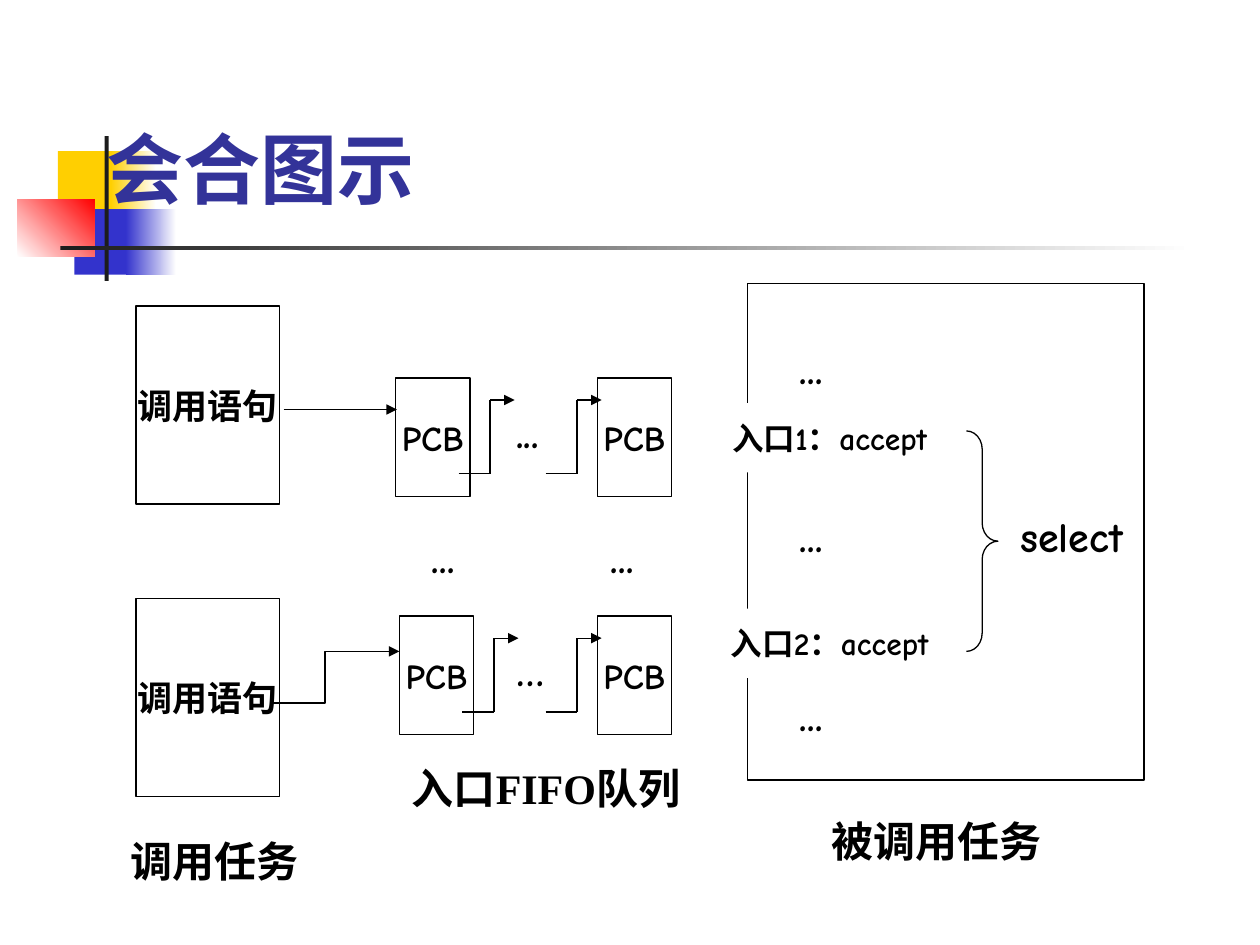
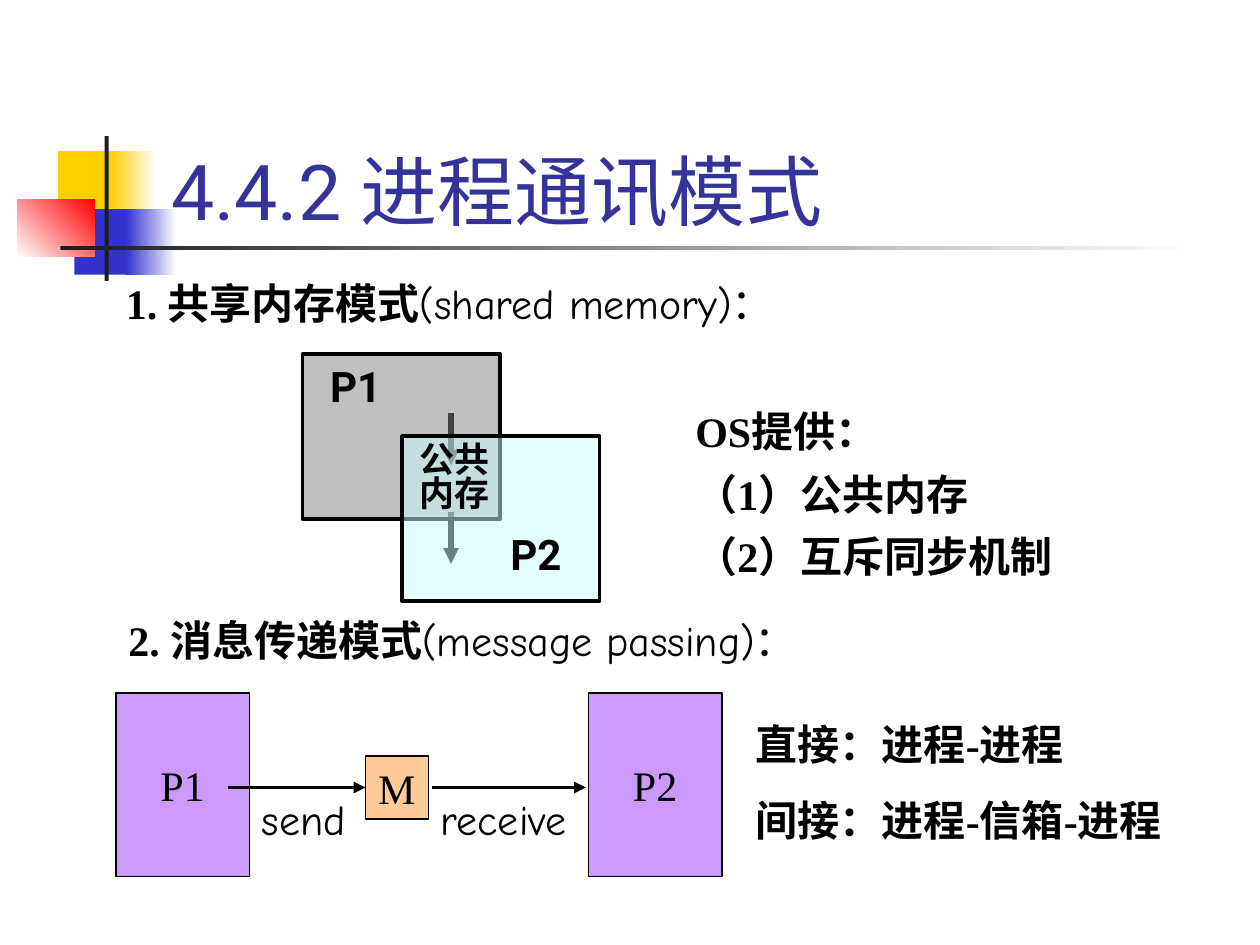
"""Build two slides on task rendezvous and process communication."""
import pptx
import pptx.util
import pptx.dml.color
import pptx.enum.shapes
import pptx.enum.text
import pptx.oxml.ns
import lxml.etree

RGB = pptx.dml.color.RGBColor
BLACK = RGB(0x00, 0x00, 0x00)
WHITE = RGB(0xFF, 0xFF, 0xFF)
INK = RGB(0x1C, 0x1C, 0x1C)
TITLE = RGB(0x33, 0x33, 0x99)
YELLOW = RGB(0xFF, 0xCF, 0x01)
BLUE = RGB(0x33, 0x33, 0xCC)
RED = RGB(0xFF, 0x00, 0x00)
GREY = RGB(0x80, 0x80, 0x80)
CYAN = RGB(0xCC, 0xFF, 0xFF)
PURPLE = RGB(0xCC, 0x99, 0xFF)
PEACH = RGB(0xFF, 0xCC, 0x99)

SERIF = "Times New Roman"
SANS = "Roboto"
HAND = "Comic Neue"

COLUMNS = 100
SHAPE = pptx.enum.shapes.MSO_SHAPE
ANCHOR = pptx.enum.text.MSO_ANCHOR
CENTER = pptx.enum.text.PP_ALIGN.CENTER
qn = pptx.oxml.ns.qn


class Deck:
    """Hold the style and the current slide; lengths are grid cells, 100 columns by 75 rows."""

    def __init__(self):
        self.prs = pptx.Presentation()
        self.prs.slide_width = pptx.util.Inches(10)
        self.prs.slide_height = pptx.util.Inches(7.5)
        self.cell = self.prs.slide_width / COLUMNS
        self.s = None

    def grid(self, *cells):
        return [round(c * self.cell) for c in cells]

    def slide(self, title, x, y, bold):
        self.s = self.prs.slides.add_slide(self.prs.slide_layouts[6])
        self.box(4.6, 12, 4.8, 5.2, YELLOW)
        self.fade(8.8, 12, 3.6, 5.2, YELLOW, WHITE)
        self.box(5.9, 16.6, 4.6, 5.2, BLUE)
        self.fade(10, 16.6, 4, 5.2, BLUE, WHITE)
        self.fade(1.4, 15.8, 6.1, 4.6, WHITE, RED, 45)
        self.box(8.3, 10.8, 0.33, 11.5, INK)
        self.fade(4.8, 19.5, 90, 0.33, INK, WHITE)
        self.text(x, y, 85, 12.5, [[(title, SANS, bold)]], 44, TITLE, anchor=ANCHOR.BOTTOM)

    def add_lines(self, tf, lines, size, color=BLACK, align=None, spacing=(), before=15):
        for i, runs in enumerate(lines):
            p = tf.add_paragraph() if i else tf.paragraphs[0]
            p.alignment = align
            if i:
                p.space_before = pptx.util.Pt(before)
            if i < len(spacing):
                p.line_spacing = spacing[i]
            for words, font, bold in runs:
                r = p.add_run()
                r.text = words
                r.font.name, r.font.bold = font, bold
                r.font.size = pptx.util.Pt(size)
                r.font.color.rgb = color

    def text(self, x, y, w, h, lines, size=24, color=BLACK, align=None,
             anchor=ANCHOR.TOP, spacing=(), tight=False):
        tf = self.s.shapes.add_textbox(*self.grid(x, y, w, h)).text_frame
        tf.word_wrap = True
        tf.vertical_anchor = anchor
        if tight:
            tf.margin_left = tf.margin_right = tf.margin_top = tf.margin_bottom = 0
        self.add_lines(tf, lines, size, color, align, spacing)

    def label(self, x, y, w, words, font=HAND, bold=True, align=None):
        self.text(x, y, w, 5, [[(words, font, bold)]], align=align)

    def tag(self, x, y, w, h, words, size):
        self.text(x, y, w, h, [[(words, SANS, True)]], size, spacing=[0.8], tight=True)

    def box(self, x, y, w, h, fill=None, line=0, alpha=None, kind=SHAPE.RECTANGLE):
        sp = self.s.shapes.add_shape(kind, *self.grid(x, y, w, h))
        self.paint(sp, fill, line)
        if alpha:
            clr = sp.element.spPr.find(qn("a:solidFill")).find(qn("a:srgbClr"))
            lxml.etree.SubElement(clr, qn("a:alpha"), val=str(alpha * 1000))
        return sp

    def paint(self, sp, fill, line):
        sp.shadow.inherit = False
        if fill is None:
            sp.fill.background()
        else:
            sp.fill.solid()
            sp.fill.fore_color.rgb = fill
        if line:
            sp.line.color.rgb = BLACK
            sp.line.width = pptx.util.Pt(line)
        else:
            sp.line.fill.background()

    def fade(self, x, y, w, h, start, end, angle=0):
        sp = self.box(x, y, w, h)
        sp.fill.gradient()
        sp.fill.gradient_angle = angle
        for stop, color in zip(sp.fill.gradient_stops, (start, end)):
            stop.color.rgb = color

    def node(self, x, y, w, h, words, font=HAND, size=20, bold=True, fill=None, line=0.75):
        sp = self.box(x, y, w, h, fill, line)
        tf = sp.text_frame
        tf.word_wrap = False
        tf.vertical_anchor = ANCHOR.MIDDLE
        self.add_lines(tf, [[(words, font, bold)]], size, align=CENTER)
        return sp

    def arrowhead(self, sp):
        lxml.etree.SubElement(sp.element.spPr.find(qn("a:ln")), qn("a:tailEnd"), type="triangle")

    def line(self, start, end, width=0.75, arrow=True):
        cx = self.s.shapes.add_connector(
            pptx.enum.shapes.MSO_CONNECTOR.STRAIGHT, *self.grid(*start, *end))
        cx.line.color.rgb = BLACK
        cx.line.width = pptx.util.Pt(width)
        lxml.etree.SubElement(cx.element.spPr, qn("a:effectLst"))
        if arrow:
            self.arrowhead(cx)
        return cx

    def step(self, x, y):
        points = [(x, y), (x + 2.5, y), (x + 2.5, y - 5.85), (x + 4.45, y - 5.85)]
        for i in range(3):
            self.line(points[i], points[i + 1], arrow=i == 2)

    def elbow(self, *points):
        first, *rest = [self.grid(*point) for point in points]
        fb = self.s.shapes.build_freeform(*first)
        fb.add_line_segments(rest, close=False)
        sp = fb.convert_to_shape()
        self.paint(sp, None, 0.75)
        self.arrowhead(sp)


def rendezvous(d):
    d.slide("会合图示", 7.5, 5, True)
    d.box(59.3, 22.5, 31.5, 39.4, line=0.75)
    d.label(65, 64.2, 20.8, "被调用任务", SERIF)
    for y, entry in ((32, "入口1：accept"), (48.3, "入口2：accept")):
        d.node(57.6, y, 16.5, 5.5, entry, size=18, fill=WHITE, line=0)
    d.label(80, 40, 11.7, "select")
    brace = d.box(76.7, 34.2, 2.5, 17.5, line=0.75, kind=SHAPE.RIGHT_BRACE)
    brace.adjustments[0] = 0.58
    for x, y, w in ((62.5, 26.7, 8.3), (62.5, 40, 8.3), (62.5, 54.2, 8.3),
                    (33.3, 41.7, 5.8), (47.5, 41.7, 5.8)):
        d.label(x, y, w, "...")

    for y, first, dots in ((30, 31.4, "..."), (48.9, 31.7, "…")):
        for x in (first, 47.4):
            d.node(x, y, 5.9, 9.4, "PCB")
        for x in (first + 5, 43.3):
            d.step(x, y + 7.6)
        d.label(40, y + 1.8, 5, dots)

    for y in (24.3, 47.5):
        d.node(10.8, y, 11.4, 15.7, "调用语句")
    d.label(8.7, 65.8, 16.7, "调用任务", SERIF, align=CENTER)
    d.label(31.7, 60, 24.6, "入口FIFO队列", SERIF)
    d.line((22.5, 32.5), (31.5, 32.5))
    d.elbow((21.7, 55.8), (25.8, 55.8), (25.8, 51.7), (31.7, 51.7))


def communication(d):
    d.slide("4.4.2 进程通讯模式", 12.6, 6.7, False)
    for x, y, name, english in ((9, 21.5, "1. 共享内存模式", "(shared memory)："),
                                (9.2, 48.3, "2. 消息传递模式", "(message passing)：")):
        d.text(x, y, 82, 5, [[(name, SERIF, True), (english, HAND, False)]])

    for y in (32.8, 40.6):
        d.line((35.8, y), (35.8, y + 4.15), 3)
    d.box(24, 28.1, 15.7, 13.1, GREY, 2, 50)
    d.box(31.9, 34.6, 15.7, 13.1, CYAN, 2, 50)
    d.tag(26.2, 29.4, 5, 3.2, "P1", 24)
    d.tag(40.5, 42.7, 5, 3.2, "P2", 24)
    d.tag(33.3, 35.4, 5.7, 5.3, "公共内存", 20)
    needs = ("OS提供：", "（1）公共内存", "（2）互斥同步机制")
    d.text(54.2, 31.7, 35, 14.8, [[(need, SERIF, True)] for need in needs],
           spacing=[1, 0.7, 0.7])

    for x, name in ((9.2, "P1"), (46.7, "P2")):
        d.node(x, 55, 10.6, 14.6, name, SERIF, 24, False, PURPLE)
    message = d.node(29, 60, 5, 5, "M", SERIF, 24, False, PEACH)
    d.line((18.1, 62.5), (29, 62.5), 2.25).end_connect(message, 1)
    d.line((34.3, 62.5), (46.5, 62.5), 2.25)
    d.label(19.8, 62.5, 9.2, "send", bold=False)
    d.label(34, 62.5, 14.2, "receive", bold=False)
    modes = ("直接：进程-进程", "间接：进程-信箱-进程")
    d.text(59, 56.5, 35.8, 15.1, [[(mode, SERIF, True)] for mode in modes])


def main():
    d = Deck()
    rendezvous(d)
    communication(d)
    d.prs.save("out.pptx")


if __name__ == "__main__":
    main()
